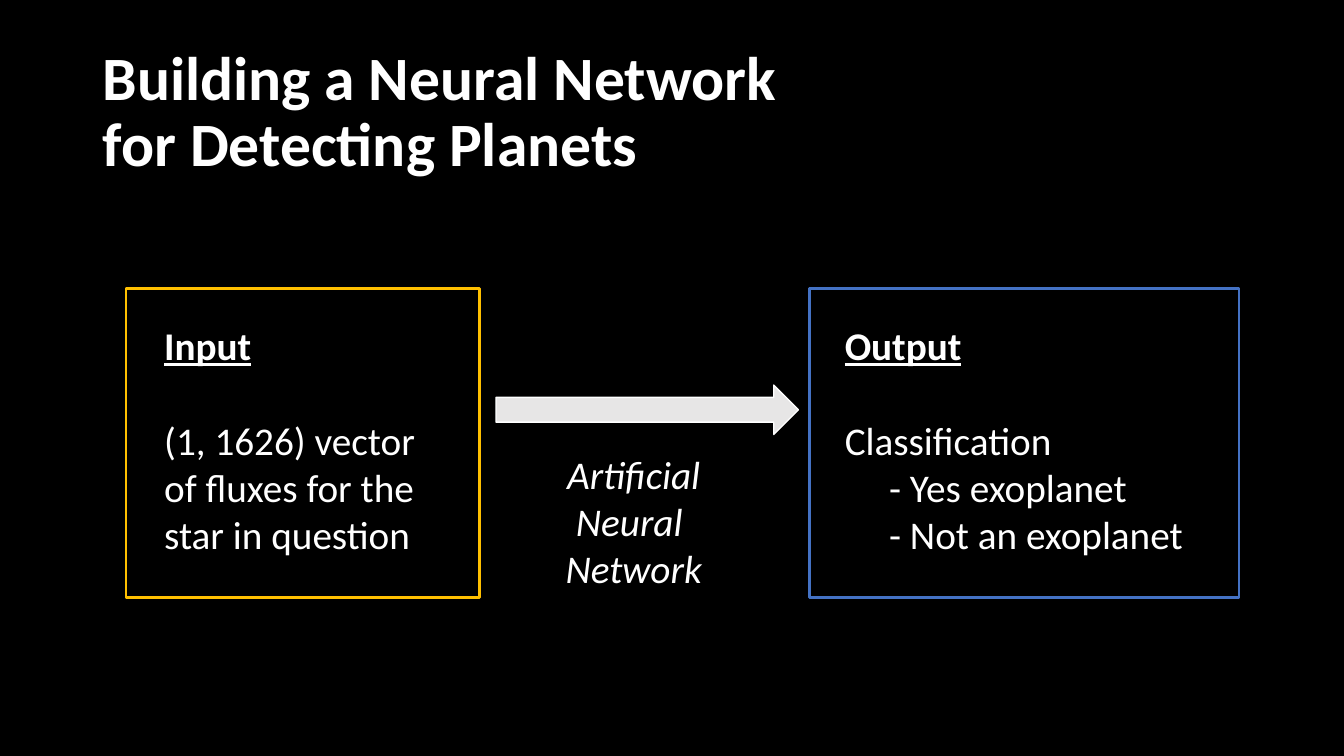
from pptx import Presentation
from pptx.dml.color import RGBColor
from pptx.enum.shapes import MSO_SHAPE
from pptx.enum.text import MSO_ANCHOR, PP_ALIGN
from pptx.util import Inches, Pt

COLORS = {
    "background": "000000",
    "text": "FFFFFF",
    "input": "FFC000",
    "output": "4472C4",
    "arrow": "E7E6E6",
}
FONT = "Calibri"
BODY_SIZE = 28
BLANK_LINE = 34.2
OPTION_INDENT = 0.44

TITLE = "Building a Neural Network \vfor Detecting Planets"
NETWORK_LINES = ["Artificial", "Neural ", "Network"]
PANELS = [
    {
        "color": "input",
        "frame": (1.25, 2.86, 3.51, 3.07),
        "text_box": (1.53, 3.14, 2.99, 2.46),
        "heading": "Input",
        "body": "(1, 1626) vector of fluxes for the star in question",
        "options": [],
    },
    {
        "color": "output",
        "frame": (8.03, 2.86, 4.26, 3.07),
        "text_box": (8.28, 3.14, 3.62, 2.46),
        "heading": "Output",
        "body": "Classification",
        "options": ["- Yes exoplanet", "- Not an exoplanet"],
    },
]


def rgb(name):
    return RGBColor.from_string(COLORS[name])


def add_text_frame(slide, box, anchor=MSO_ANCHOR.TOP):
    text_frame = slide.shapes.add_textbox(*map(Inches, box)).text_frame
    text_frame.word_wrap = True
    text_frame.vertical_anchor = anchor
    return text_frame


def write(text_frame, text, size=BODY_SIZE, bold=False, italic=False, underline=False,
          align=PP_ALIGN.LEFT, line_spacing=1.0, space_before=0, indent=0):
    paragraph = text_frame.paragraphs[-1]
    if paragraph.runs:
        paragraph = text_frame.add_paragraph()
    paragraph.text = text
    paragraph.alignment = align
    paragraph.line_spacing = line_spacing
    paragraph.space_before = Pt(space_before)
    if indent:
        paragraph._p.get_or_add_pPr().set("marL", str(Inches(indent)))
    for run in paragraph.runs:
        font = run.font
        font.name, font.size = FONT, Pt(size)
        font.bold, font.italic, font.underline = bold, italic, underline
        font.color.rgb = rgb("text")


def add_outline(slide, kind, box, line, width, fill=None):
    shape = slide.shapes.add_shape(kind, *map(Inches, box))
    shape.shadow.inherit = False
    if fill:
        shape.fill.solid()
        shape.fill.fore_color.rgb = rgb(fill)
    else:
        shape.fill.background()
    shape.line.color.rgb = rgb(line)
    shape.line.width = Pt(width)


def add_panel(slide, panel):
    text_frame = add_text_frame(slide, panel["text_box"])
    write(text_frame, panel["heading"], bold=True, underline=True)
    write(text_frame, panel["body"], space_before=BLANK_LINE)
    for option in panel["options"]:
        write(text_frame, option, indent=OPTION_INDENT)
    add_outline(slide, MSO_SHAPE.RECTANGLE, panel["frame"], panel["color"], 2)


def main():
    presentation = Presentation()
    presentation.slide_width = Inches(13.33)
    presentation.slide_height = Inches(7.5)
    slide = presentation.slides.add_slide(presentation.slide_layouts[6])
    slide.background.fill.solid()
    slide.background.fill.fore_color.rgb = rgb("background")

    title = add_text_frame(slide, (0.92, 0.4, 11.5, 1.45), MSO_ANCHOR.MIDDLE)
    write(title, TITLE, size=44, bold=True, line_spacing=0.9)

    for panel in PANELS:
        add_panel(slide, panel)

    add_outline(slide, MSO_SHAPE.RIGHT_ARROW, (4.92, 3.82, 3, 0.49), "text", 1, fill="arrow")
    network = add_text_frame(slide, (4.79, 4.42, 2.99, 1.51))
    for line in NETWORK_LINES:
        write(network, line, italic=True, align=PP_ALIGN.CENTER)

    presentation.save("out.pptx")


if __name__ == "__main__":
    main()
